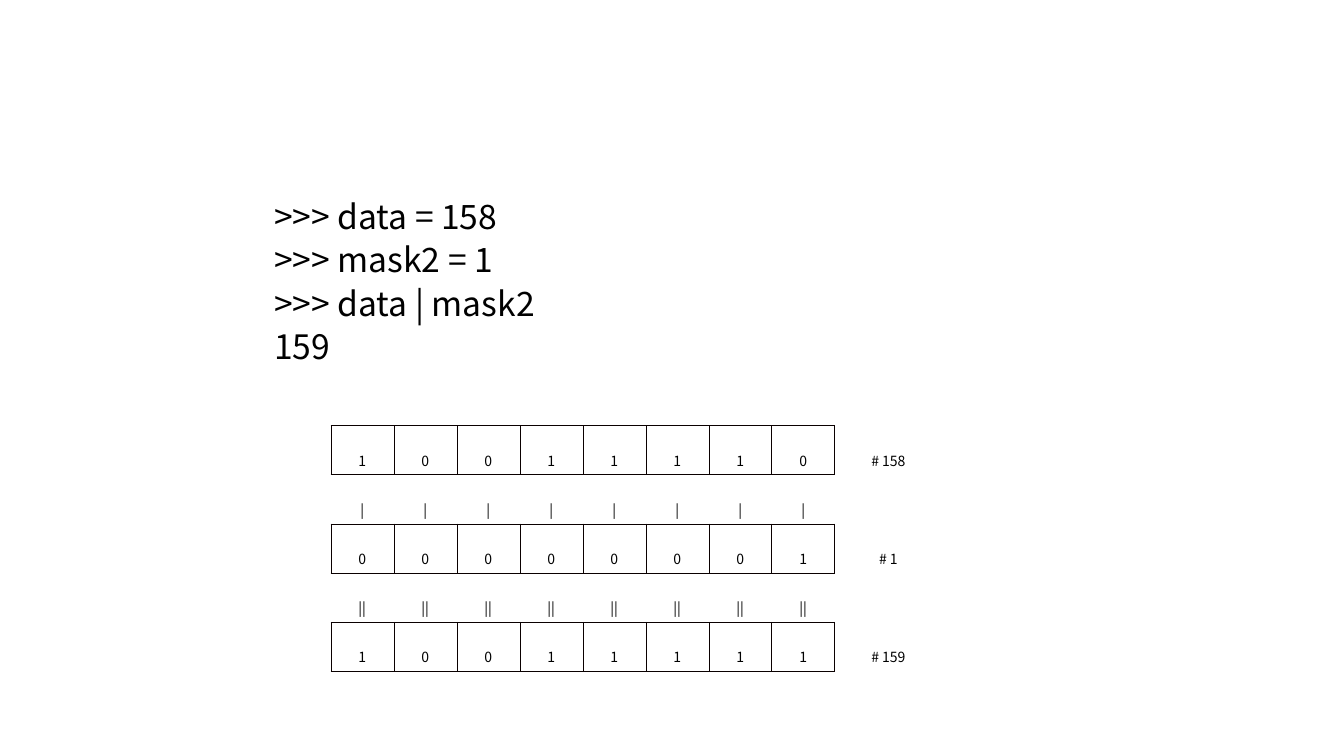
from dataclasses import dataclass

from lxml.etree import SubElement
from pptx import Presentation
from pptx.dml.color import RGBColor
from pptx.enum.text import MSO_ANCHOR, MSO_AUTO_SIZE, PP_ALIGN
from pptx.oxml.ns import qn
from pptx.util import Inches, Pt


@dataclass(frozen=True)
class Theme:
    font: str = "Noto Sans CJK KR"
    text: str = "000000"
    paper: str = "FFFFFF"
    rule: str = "0A0000"
    rule_width: float = 0.28
    code_size: int = 24
    bit_size: int = 10


THEME = Theme()
SLIDE_WIDTH, SLIDE_HEIGHT = 13.33, 7.5
BITS = 8
BIT_WIDTH, ROW_HEIGHT, TAIL_WIDTH = 0.625, 0.488, 0.44

SESSION = [">>> data = 158", ">>> mask2 = 1", ">>> data | mask2", "159"]
# Values alternate with the operators between them
OR_ROWS = [158, "|", 1, "||", 159]


def style_paragraph(paragraph, size, line_spacing):
    paragraph.line_spacing = line_spacing
    paragraph.font.size = Pt(size)
    paragraph.font.name = THEME.font
    paragraph.font.color.rgb = RGBColor.from_string(THEME.text)


def add_session(slide, left, top, width, height):
    """Interpreter session, one paragraph per line."""
    session = slide.shapes.add_textbox(*map(Inches, (left, top, width, height)))
    frame = session.text_frame
    frame.word_wrap = True
    frame.auto_size = MSO_AUTO_SIZE.TEXT_TO_FIT_SHAPE
    frame.text = "\n".join(SESSION)
    for line in frame.paragraphs:
        style_paragraph(line, THEME.code_size, 0.9)
        line.space_before = Pt(5)
        indent = line._p.get_or_add_pPr()
        indent.set("marL", str(Inches(0.45)))
        indent.set("indent", "0")


def set_borders(cell, ruled_sides):
    properties = cell._tc.get_or_add_tcPr()
    for side in "LRTB":
        border = SubElement(properties, qn(f"a:ln{side}"), w=str(Pt(THEME.rule_width)))
        if side in ruled_sides:
            fill = SubElement(border, qn("a:solidFill"))
            SubElement(fill, qn("a:srgbClr"), val=THEME.rule)
        else:
            SubElement(border, qn("a:noFill"))


def fill_cell(cell, text, ruled_sides):
    set_borders(cell, ruled_sides)
    cell.fill.solid()
    cell.fill.fore_color.rgb = RGBColor.from_string(THEME.paper)
    cell.vertical_anchor = MSO_ANCHOR.MIDDLE
    cell.margin_left = cell.margin_right = Inches(0.07)
    cell.margin_top = cell.margin_bottom = Inches(0.02)
    cell.text = text
    paragraph = cell.text_frame.paragraphs[0]
    paragraph.alignment = PP_ALIGN.CENTER
    style_paragraph(paragraph, THEME.bit_size, 2.0)


def add_bit_table(slide, left, top):
    """Bits of each value, with its decimal value at the right."""
    widths = [BIT_WIDTH] * (BITS + 1) + [TAIL_WIDTH]
    height = ROW_HEIGHT * len(OR_ROWS)
    table = slide.shapes.add_table(
        len(OR_ROWS), len(widths),
        *map(Inches, (left, top, sum(widths), height))).table
    table.first_row = table.horz_banding = False
    for column, width in zip(table.columns, widths):
        column.width = Inches(width)

    for index, entry in enumerate(OR_ROWS):
        is_value = isinstance(entry, int)
        table.rows[index].height = Inches(ROW_HEIGHT)
        symbols = f"{entry:0{BITS}b}" if is_value else [entry] * BITS
        for column, symbol in enumerate(symbols):
            fill_cell(table.cell(index, column), symbol, "LRTB" if is_value else "TB")

        # Decimal label spans the last two columns
        label = table.cell(index, BITS)
        if entry != "|":
            label.merge(table.cell(index, BITS + 1))
        fill_cell(label, f"# {entry}" if is_value else "", "L" if is_value else "")
        fill_cell(table.cell(index, BITS + 1), "", "")


def build_slide(presentation):
    slide = presentation.slides.add_slide(presentation.slide_layouts[6])
    add_session(slide, 2.17, 1.94, 9, 2.05)
    add_bit_table(slide, 3.28, 4.22)


def main():
    presentation = Presentation()
    presentation.slide_width = Inches(SLIDE_WIDTH)
    presentation.slide_height = Inches(SLIDE_HEIGHT)
    build_slide(presentation)
    presentation.save("out.pptx")


if __name__ == "__main__":
    main()
